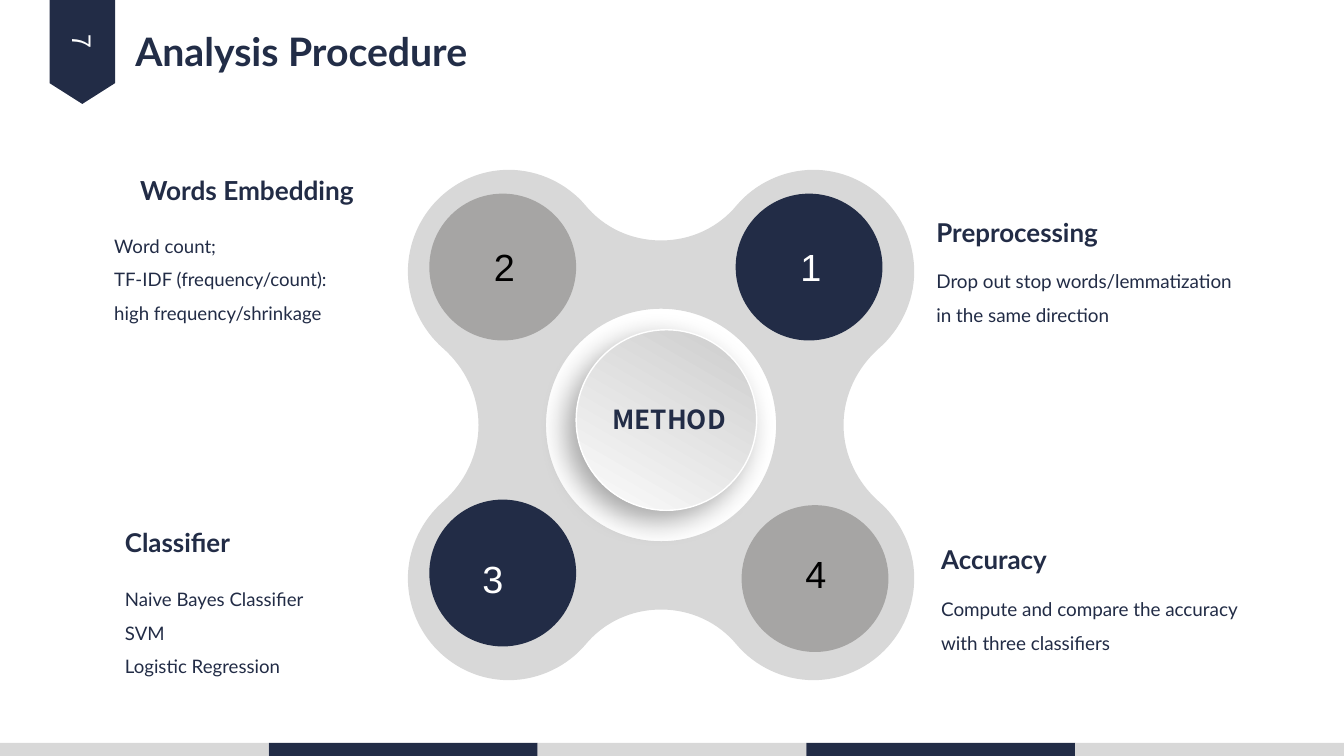
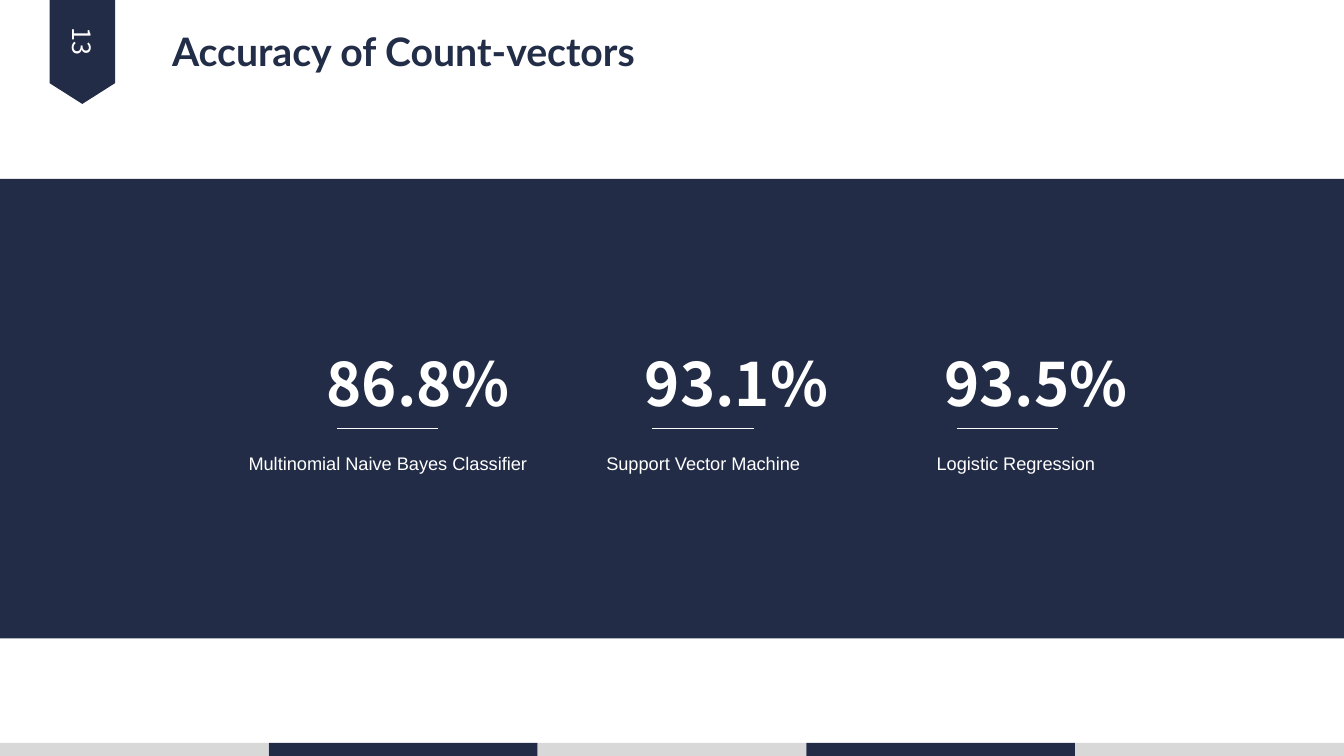
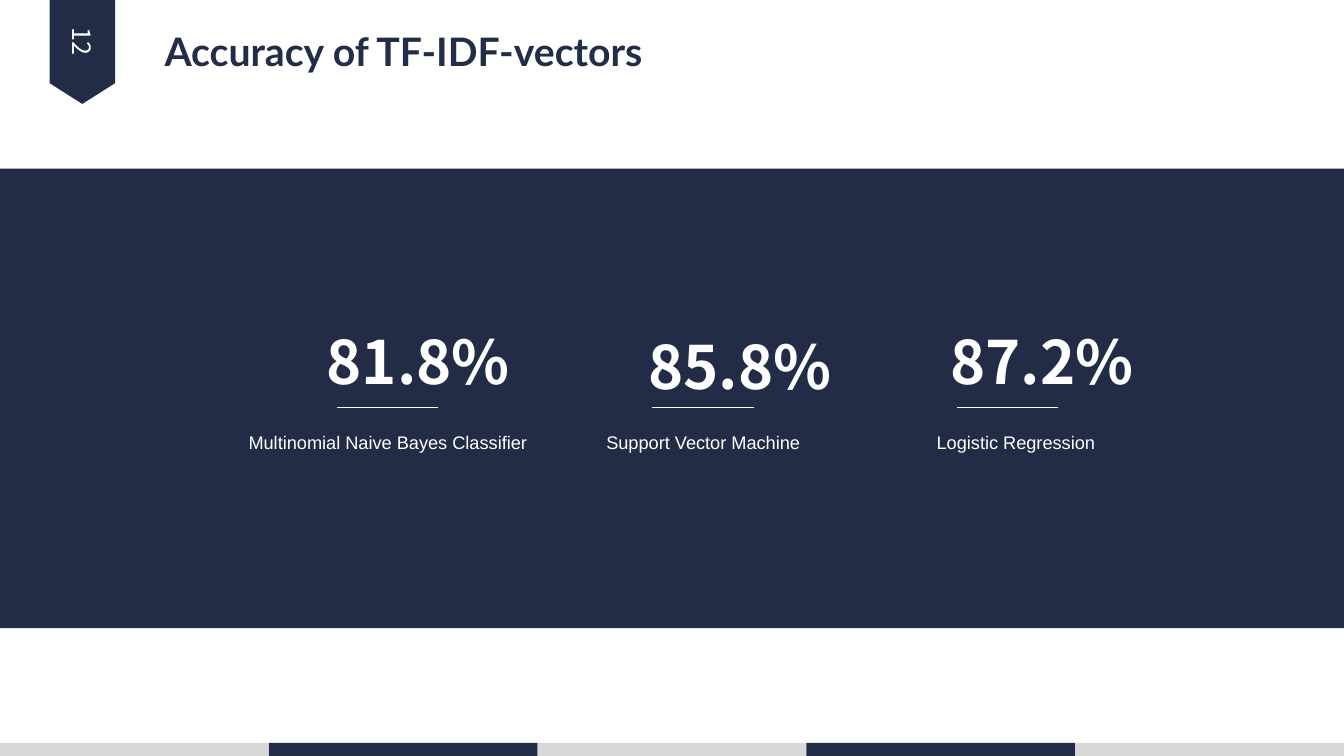
"""Build three slides on the analysis procedure and classifier accuracy."""
import lxml.etree
import pptx
import pptx.dml.color
import pptx.enum.shapes
import pptx.enum.text
import pptx.oxml.ns
import pptx.util

Cm = pptx.util.Cm
Pt = pptx.util.Pt
qn = pptx.oxml.ns.qn
PRESET = pptx.enum.shapes.MSO_SHAPE
ALIGN = pptx.enum.text.PP_ALIGN
ANCHOR = pptx.enum.text.MSO_ANCHOR

NAVY, TITLE_NAVY = "222C46", "222D47"
SILVER, GREY = "D8D8D8", "A6A5A4"
WHITE, BLACK = "FFFFFF", "000000"
WIDTH, HEIGHT = 33.87, 19.05

TITLE = {"name": "Lato", "size": Pt(28), "bold": True}
HEADING = {"name": "Lato", "size": Pt(18.5), "bold": True}
LARGE_HEADING = {"name": "Lato", "size": Pt(18.7), "bold": True}
BODY = {"name": "Lato", "size": Pt(13.5)}
SMALL_BODY = {"name": "Lato", "size": Pt(13.3)}
PAGE_NUMBER = {"name": "Noto Sans CJK SC", "size": Pt(18)}
HUB_LABEL = {"name": "Noto Sans CJK SC", "size": Pt(18.7), "bold": True}
STEP_NUMBER = {"name": "Arial", "size": Pt(27)}
SCORE = {"name": "Noto Sans CJK SC", "size": Pt(42.7), "bold": True}
PERCENT = {"name": "Noto Sans CJK SC", "size": Pt(43), "bold": True}
MODEL_NAME = {"name": "Arial", "size": Pt(13)}

HUB_CENTRE = (16.66, 10.71)
HUB_QUARTER = [
    (4.6, 0), (4.6, 0.76), (4.95, 1.45), (5.49, 1.93),
    (6.02, 2.39), (6.38, 3.1), (6.38, 3.86),
    (6.38, 5.28), (5.23, 6.43), (3.84, 6.43),
    (3.07, 6.43), (2.36, 6.07), (1.91, 5.54),
    (1.45, 4.98), (0.76, 4.65), (0, 4.65),
]
HOLE_QUARTER = [(2.9, 0), (2.9, 1.62), (1.6, 2.93), (0, 2.93)]

STEPS = [
    ("1", NAVY, WHITE, (18.54, 4.88), (19.92, 5.89, 2.08),
     "Preprocessing", (23.35, 5.33, 5.77), HEADING, ALIGN.LEFT,
     (23.35, 6.38, 9.86, 2.74), BODY,
     ["Drop out stop words/lemmatization", "in the same direction"]),
    ("2", GREY, BLACK, (10.82, 4.88), (12.2, 5.89, 2.08),
     "Words Embedding", (0, 4.27, 9.17), LARGE_HEADING, ALIGN.RIGHT,
     (2.63, 5.5, 6.53, 4.24), SMALL_BODY,
     ["Word count;", "TF-IDF (frequency/count):", "high frequency/shrinkage"]),
    ("3", NAVY, WHITE, (10.82, 12.59), (11.91, 13.75, 1.65),
     "Classifier", (2.9, 13.14, 7.65), HEADING, ALIGN.LEFT,
     (2.9, 14.41, 9.86, 2.74), SMALL_BODY,
     ["Naive Bayes Classifier", "SVM", "Logistic Regression"]),
    ("4", GREY, BLACK, (18.69, 12.73), (20.05, 13.63, 2.08),
     "Accuracy", (23.47, 13.57, 5.77), HEADING, ALIGN.LEFT,
     (23.47, 14.65, 9.86, 2.74), BODY,
     ["Compute and compare the accuracy", "with three classifiers"]),
]

MODELS = [
    ("Multinomial Naive Bayes Classifier", 5.87, 8.5, 5.49),
    ("Support Vector Machine", 13.82, 16.44, 5.61),
    ("Logistic Regression", 21.7, 24.12, 5.23),
]


def color(value):
    """Turn a hex string into a colour."""
    return pptx.dml.color.RGBColor.from_string(value)


def apply(target, values):
    """Set each attribute named in values on target."""
    for attribute, value in values.items():
        setattr(target, attribute, value)


def paint(shape, fill):
    """Give a shape a plain fill without line or shadow."""
    shape.shadow.inherit = False
    shape.fill.solid()
    shape.fill.fore_color.rgb = color(fill)
    shape.line.fill.background()


def add_block(parent, preset, box, fill):
    """Add a plain preset shape to a slide or group."""
    block = parent.shapes.add_shape(preset, *map(Cm, box))
    paint(block, fill)
    return block


def style_run(run, font, ink):
    """Set the font and colour of a run."""
    apply(run.font, font)
    run.font.color.rgb = color(ink)


def add_text(slide, box, lines, font, ink, align=ALIGN.LEFT, spacing=1.0,
             inset=(0.25, 0.13), anchor=ANCHOR.TOP):
    """Add a text box with one paragraph for each line."""
    label = slide.shapes.add_textbox(*map(Cm, box))
    frame = label.text_frame
    side, end = map(Cm, inset)
    apply(frame, {"word_wrap": True, "vertical_anchor": anchor,
                  "margin_left": side, "margin_right": side,
                  "margin_top": end, "margin_bottom": end})
    frame.text = "\n".join(lines)
    for paragraph in frame.paragraphs:
        apply(paragraph, {"alignment": align, "line_spacing": spacing})
        for run in paragraph.runs:
            style_run(run, font, ink)
    return label


def add_score(slide, box, value):
    """Add a large score followed by a percent sign."""
    score = add_text(slide, box, [value], SCORE, WHITE)
    percent = score.text_frame.paragraphs[0].add_run()
    percent.text = "%"
    style_run(percent, PERCENT, WHITE)


def add_rule(slide, left, top, length):
    """Add a thin white horizontal line."""
    rule = slide.shapes.add_connector(
        pptx.enum.shapes.MSO_CONNECTOR.STRAIGHT,
        Cm(left), Cm(top), Cm(left + length), Cm(top))
    rule.line.color.rgb = color(WHITE)
    rule.line.width = Pt(0.75)
    lxml.etree.SubElement(rule.element.spPr, qn("a:effectLst"))


def start_slide(deck, number, title, title_width, align):
    """Add a slide with its footer stripe, page badge and title."""
    slide = deck.slides.add_slide(deck.slide_layouts[6])
    footer = slide.shapes.add_group_shape()
    stripe = WIDTH / 5
    for index in range(5):
        add_block(footer, PRESET.RECTANGLE, (index * stripe, 18.72, stripe, 0.33),
                  NAVY if index % 2 else SILVER)
    add_block(slide, PRESET.FLOWCHART_OFFPAGE_CONNECTOR, (1.25, 0, 1.65, 2.62), NAVY)
    page = add_text(slide, (1.02, 0.23, 2.11, 1.65), [number], PAGE_NUMBER, WHITE,
                    ALIGN.CENTER, anchor=ANCHOR.MIDDLE)
    page.rotation = 90
    add_text(slide, (3.41, 0.69, title_width, 1.19), [title], TITLE, TITLE_NAVY,
             align, inset=(0, 0), anchor=ANCHOR.MIDDLE)
    return slide


def mirrored_outline(quarter):
    """Mirror the curve points of one quarter into a closed outline."""
    outline = []
    for across, down in ((1, 1), (-1, 1), (-1, -1), (1, -1)):
        ordered = quarter if across == down else quarter[::-1]
        outline += [(Cm(HUB_CENTRE[0] + across * x), Cm(HUB_CENTRE[1] + down * y))
                    for x, y in ordered[1 if outline else 0:]]
    return outline


def curve_segments(shape):
    """Turn each three straight segments of a freeform into one cubic curve."""
    segments = list(shape.element.iter(qn("a:lnTo")))
    for first in range(0, len(segments), 3):
        start, *others = segments[first:first + 3]
        curve = lxml.etree.Element(qn("a:cubicBezTo"))
        start.addprevious(curve)
        for segment in (start, *others):
            curve.append(segment[0])
            segment.getparent().remove(segment)


def add_hub(slide):
    """Add the four-lobed hub with its round hole."""
    rim = mirrored_outline(HUB_QUARTER)
    hole = mirrored_outline(HOLE_QUARTER)[::-1]
    builder = slide.shapes.build_freeform(*rim[0])
    builder.add_line_segments(rim[1:], close=True)
    builder.move_to(*hole[0])
    builder.add_line_segments(hole[1:], close=True)
    hub = builder.convert_to_shape()
    curve_segments(hub)
    paint(hub, SILVER)


def add_hub_ball(slide):
    """Add the shaded ball in the middle of the hub."""
    ball = add_block(slide, PRESET.OVAL, (14.52, 8.31, 4.55, 4.55), WHITE)
    ball.fill.gradient()
    ball.fill.gradient_angle = 240
    for stop, shade in zip(ball.fill.gradient_stops, ("CCCCCC", "FCFCFC")):
        stop.color.rgb = color(shade)
    ball.line.color.rgb = color(WHITE)
    ball.line.width = Pt(1)
    effects = ball.element.spPr.find(qn("a:effectLst"))
    shadow = lxml.etree.SubElement(
        effects, qn("a:outerShdw"), blurRad=str(Pt(20)), dist=str(Pt(10)),
        dir=str(136 * 60000), algn="ctr", rotWithShape="0")
    tint = lxml.etree.SubElement(shadow, qn("a:srgbClr"), val=BLACK)
    lxml.etree.SubElement(tint, qn("a:alpha"), val="34000")
    add_text(slide, (14.93, 10.04, 3.61, 1.07), ["METHOD"], HUB_LABEL, NAVY, ALIGN.RIGHT)


def add_step(slide, number, fill, ink, disc, digit, heading, heading_box,
             heading_font, heading_align, body_box, body_font, lines):
    """Add a numbered disc with its heading and description."""
    add_block(slide, PRESET.OVAL, (*disc, 3.7, 3.7), fill)
    add_text(slide, (*digit, 1.68), [number], STEP_NUMBER, ink, inset=(0.25, 0.25))
    add_text(slide, (*heading_box, 1.04), [heading], heading_font, NAVY, heading_align)
    add_text(slide, body_box, lines, body_font, NAVY, spacing=1.5)


def add_procedure_slide(deck):
    """Add the slide with the four steps of the method."""
    slide = start_slide(deck, "7", "Analysis Procedure", 10.21, ALIGN.LEFT)
    add_hub(slide)
    add_hub_ball(slide)
    for step in STEPS:
        add_step(slide, *step)


def add_accuracy_slide(deck, number, title, band_top, rule_top, scores):
    """Add a slide with the accuracy of each model on a dark band."""
    slide = start_slide(deck, number, title, 13.51, ALIGN.CENTER)
    add_block(slide, PRESET.RECTANGLE, (0, band_top, WIDTH, 11.58), NAVY)
    for (model, model_left, rule_left, score_width), (score, score_left, drop) in zip(
            MODELS, scores):
        add_score(slide, (score_left, rule_top - 2.21 + drop, score_width, 2.08), score)
        add_rule(slide, rule_left, rule_top, 2.55)
        add_text(slide, (model_left, rule_top + 0.2, 7.8, 2.82), [model],
                 MODEL_NAME, WHITE, ALIGN.CENTER, 1.5)


def main():
    """Build and save the deck."""
    deck = pptx.Presentation()
    apply(deck, {"slide_width": Cm(WIDTH), "slide_height": Cm(HEIGHT)})
    add_procedure_slide(deck)
    add_accuracy_slide(deck, "13", "Accuracy of Count-vectors", 4.51, 10.8,
                       [("86.8", 7.98, 0), ("93.1", 16, 0), ("93.5", 23.55, 0)])
    add_accuracy_slide(deck, "12", "Accuracy of TF-IDF-vectors", 4.25, 10.26,
                       [("81.8", 7.98, 0), ("85.8", 16.09, 0.12), ("87.2", 23.7, 0)])
    deck.save("out.pptx")


if __name__ == "__main__":
    main()
